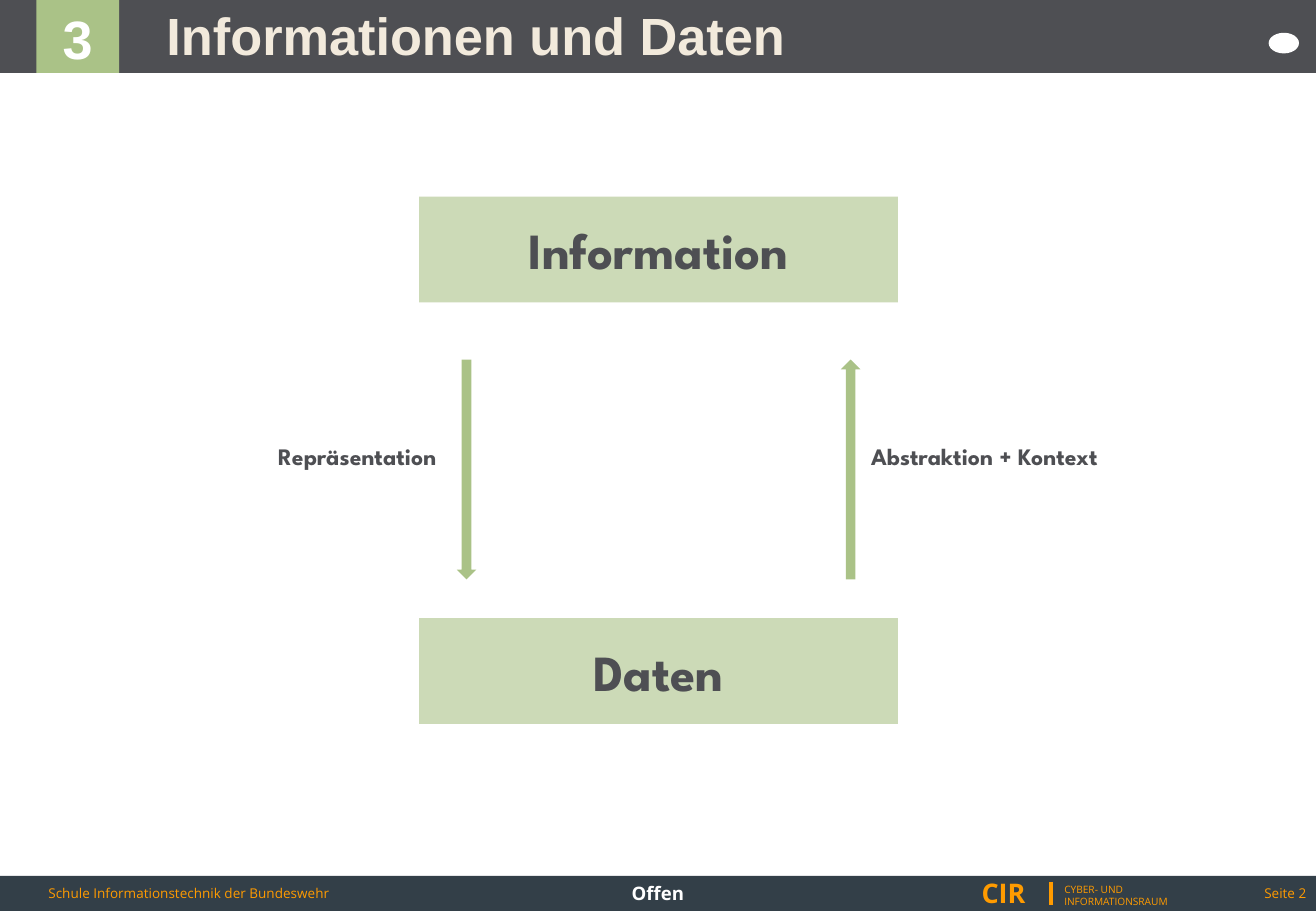
"""Build the slide on information and data."""
from lxml import etree
from pptx import Presentation
from pptx.dml.color import RGBColor
from pptx.enum.shapes import MSO_CONNECTOR, MSO_SHAPE
from pptx.enum.text import MSO_ANCHOR, PP_ALIGN
from pptx.oxml.ns import qn
from pptx.util import Inches, Pt

RECT, OVAL, ARROW = MSO_SHAPE.RECTANGLE, MSO_SHAPE.OVAL, MSO_SHAPE.DOWN_ARROW
STRAIGHT = MSO_CONNECTOR.STRAIGHT
TOP, MIDDLE = MSO_ANCHOR.TOP, MSO_ANCHOR.MIDDLE
LEFT, CENTER, RIGHT = PP_ALIGN.LEFT, PP_ALIGN.CENTER, PP_ALIGN.RIGHT
JUSTIFY = PP_ALIGN.JUSTIFY

GRAY = RGBColor(0x4E, 0x4F, 0x53)
SLATE = RGBColor(0x33, 0x3F, 0x48)
ORANGE = RGBColor(0xFF, 0x9B, 0x00)
GREEN = RGBColor(0xAA, 0xC2, 0x87)
PALE = RGBColor(0xCC, 0xDA, 0xB7)
CREAM = RGBColor(0xF2, 0xEA, 0xDC)
WHITE = RGBColor(0xFF, 0xFF, 0xFF)

HEAD, BODY, FOOT = "Arial", "League Spartan", "Open Sans"

deck = Presentation()
deck.slide_width, deck.slide_height = Inches(10.83), Inches(7.5)
slide = deck.slides.add_slide(deck.slide_layouts[6])
shapes = slide.shapes


def add_box(kind, box, fill):
    shape = shapes.add_shape(kind, *map(Inches, box))
    shape.shadow.inherit = False
    shape.fill.solid()
    shape.fill.fore_color.rgb = fill
    shape.line.fill.background()
    return shape


def add_text(text, box=None, shape=None, size=8, font=FOOT, color=ORANGE,
             bold=False, align=LEFT, anchor=TOP, before=0, inset=0.1):
    shape = shape or shapes.add_textbox(*map(Inches, box))
    frame = shape.text_frame
    frame.word_wrap = True
    frame.vertical_anchor = anchor
    frame.margin_left = Inches(inset)
    frame.text = text
    for para in frame.paragraphs:
        para.alignment = align
        para.space_before = Pt(before)
        face = para.font
        face.size, face.name, face.bold = Pt(size), font, bold
        face.color.rgb = color


add_box(RECT, (0, 0, 10.83, 0.6), GRAY)
add_box(RECT, (0, 7.21, 10.83, 0.29), SLATE)
add_box(OVAL, (10.44, 0.27, 0.25, 0.17), WHITE)

badge = add_box(RECT, (0.3, 0, 0.68, 0.6), GREEN)
add_text("3", shape=badge, size=32, font=HEAD, color=WHITE, bold=True,
         align=CENTER, before=6.4)
add_text("Informationen und Daten", (1.09, 0.05, 9.32, 0.47), size=31,
         font=HEAD, color=CREAM, bold=True, anchor=MIDDLE, inset=0.28)

for name, top in (("Information", 1.62), ("Daten", 5.09)):
    block = add_box(RECT, (3.45, top, 3.94, 0.87), PALE)
    add_text(name, shape=block, size=30, font=BODY, color=GRAY, bold=True,
             align=CENTER, anchor=MIDDLE)

for name, left, width, start, turn in (
        ("Repräsentation", 2.19, 1.76, 3.76, 0),
        ("Abstraktion + Kontext", 7.07, 2.81, 6.92, 180)):
    arrow = add_box(ARROW, (start, 2.96, 0.16, 1.81), GREEN)
    arrow.rotation = turn
    add_text(name, (left, 3.59, width, 0.32), size=14, font=BODY, color=GRAY,
             bold=True, align=JUSTIFY, before=2.8)

add_text("Schule Informationstechnik der Bundeswehr", (0.3, 6.96, 4.09, 0.79),
         anchor=MIDDLE)
add_text("Offen", (3.7, 7.21, 3.43, 0.4), size=11, color=WHITE, bold=True,
         align=CENTER)
add_text("CIR", (7.98, 7.17, 1.36, 0.37), size=16, bold=True)
add_text("CYBER- UND\nINFORMATIONSRAUM", (8.66, 7.22, 1.28, 0.3), size=6)
add_text("Seite 2", (8.32, 7.21, 2.53, 0.29), align=RIGHT, anchor=MIDDLE)

rule = shapes.add_connector(STRAIGHT, Inches(8.65), Inches(7.26),
                            Inches(8.65), Inches(7.45))
rule.line.color.rgb = ORANGE
rule.line.width = Pt(2)
etree.SubElement(rule._element.spPr, qn("a:effectLst"))

deck.save("out.pptx")
